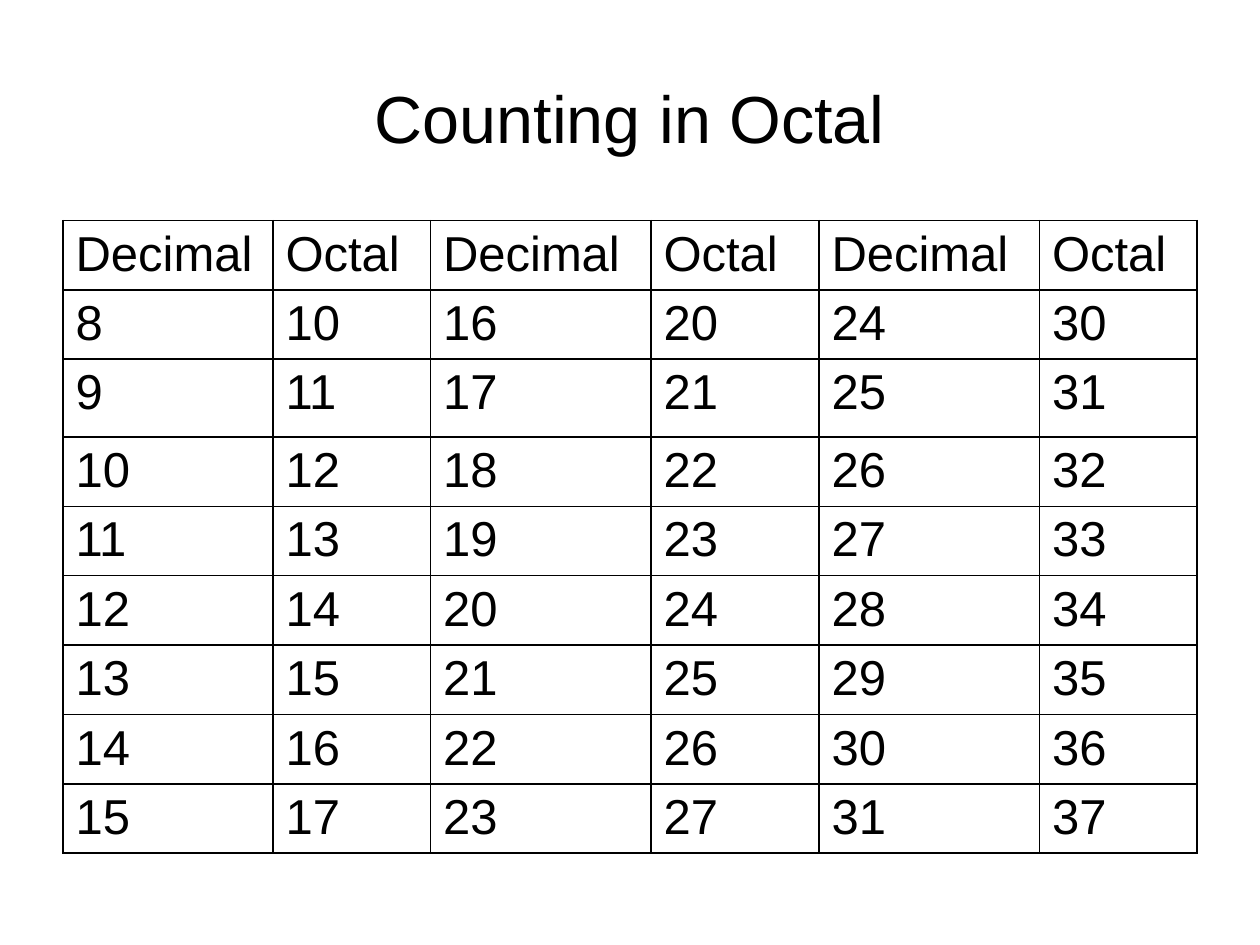
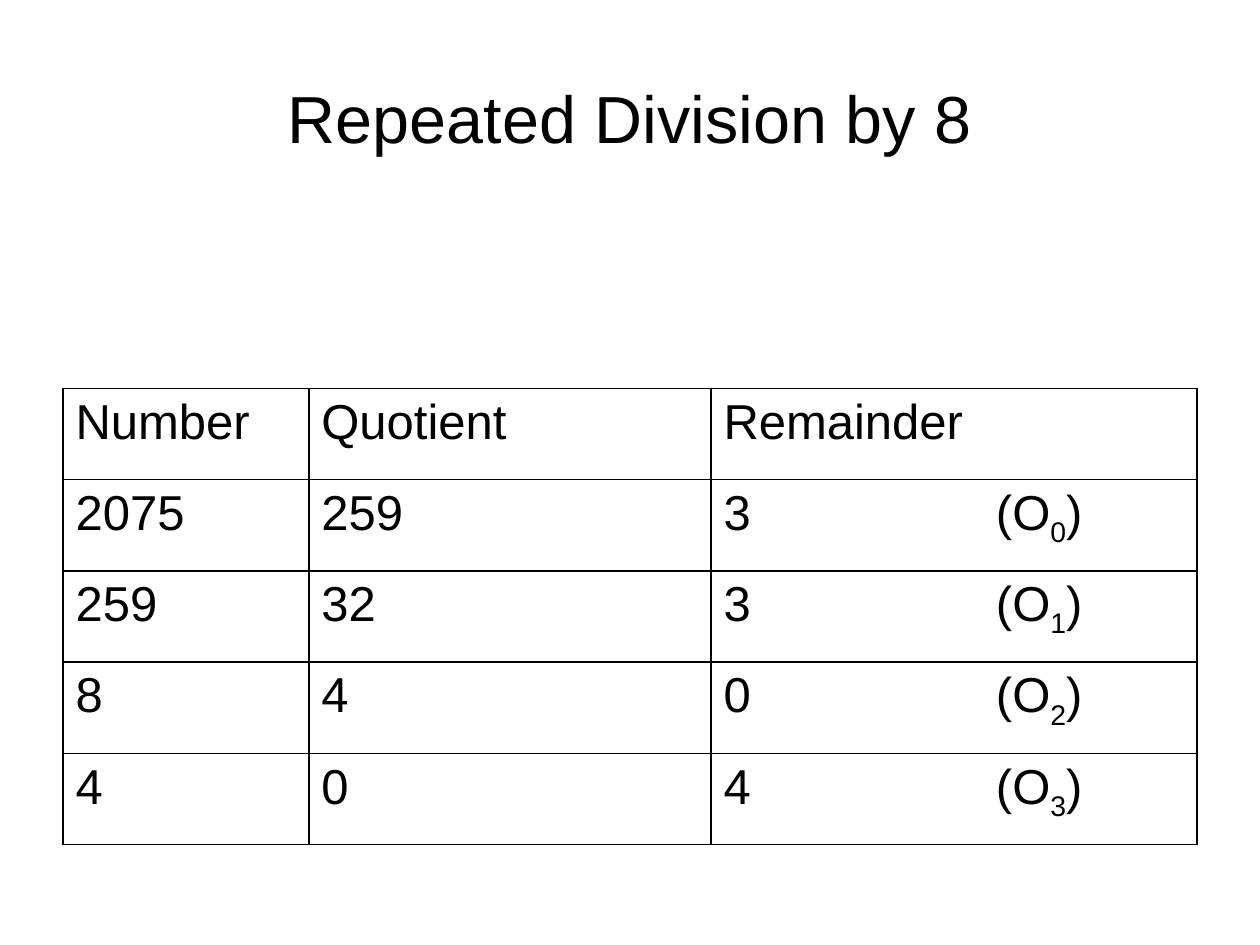
from lxml import etree
from pptx import Presentation
from pptx.dml.color import RGBColor
from pptx.enum.text import MSO_ANCHOR, MSO_AUTO_SIZE, PP_ALIGN
from pptx.oxml.ns import qn
from pptx.util import Pt

CENTER = PP_ALIGN.CENTER
JUSTIFY = PP_ALIGN.JUSTIFY
MIDDLE = MSO_ANCHOR.MIDDLE
NO_AUTOFIT = MSO_AUTO_SIZE.NONE
TITLE_ONLY = 5

COLORS = {"text": "000000", "border": "000000"}
TITLE_FONT = {"name": "Arial", "size": Pt(38), "bold": False}
CELL_FONT = {"name": "Arial", "size": Pt(28), "bold": False}
TITLE_PLACE = {"left": Pt(36), "top": Pt(21.6), "width": Pt(648), "height": Pt(90)}
TITLE_FRAME = {"vertical_anchor": MIDDLE, "auto_size": NO_AUTOFIT, "word_wrap": True}
PLAIN_TABLE = {"first_row": False, "horz_banding": False}
TABLE_LEFT = 36
HANGING_INDENT = 27
DIGIT_TAB = 155.7
BORDER_TAGS = ("a:lnL", "a:lnR", "a:lnT", "a:lnB")


def apply_format(target, values):
    for name, value in values.items():
        setattr(target, name, value)


def add_run(paragraph, text, font, subscript=False):
    run = paragraph.add_run()
    run.text = text
    apply_format(run.font, font)
    run.font.color.rgb = RGBColor.from_string(COLORS["text"])
    if subscript:
        run.font._element.set("baseline", "-25000")


def add_titled_slide(presentation, title):
    slide = presentation.slides.add_slide(presentation.slide_layouts[TITLE_ONLY])
    shape = slide.shapes.title
    apply_format(shape, TITLE_PLACE)
    apply_format(shape.text_frame, TITLE_FRAME)
    paragraph = shape.text_frame.paragraphs[0]
    paragraph.alignment = CENTER
    add_run(paragraph, title, TITLE_FONT)
    return slide


def draw_borders(cell):
    properties = cell._tc.get_or_add_tcPr()
    for tag in BORDER_TAGS:
        line = etree.SubElement(properties, qn(tag), w=str(Pt(1)))
        fill = etree.SubElement(line, qn("a:solidFill"))
        etree.SubElement(fill, qn("a:srgbClr"), val=COLORS["border"])
    cell.fill.background()


def set_indent(paragraph, indent):
    properties = paragraph._p.get_or_add_pPr()
    properties.set("marL", str(Pt(indent)))
    properties.set("indent", str(Pt(-indent)))


def add_tab_stop(paragraph, position):
    tabs = etree.SubElement(paragraph._p.get_or_add_pPr(), qn("a:tabLst"))
    etree.SubElement(tabs, qn("a:tab"), pos=str(Pt(position)), algn="l")


def add_grid(slide, top, widths, heights, rows, indent=None):
    frame = slide.shapes.add_table(
        len(rows), len(widths), Pt(TABLE_LEFT), Pt(top), Pt(sum(widths)), Pt(sum(heights))
    )
    table = frame.table
    apply_format(table, PLAIN_TABLE)
    for column, width in zip(table.columns, widths):
        column.width = Pt(width)
    for row, height, texts in zip(table.rows, heights, rows):
        row.height = Pt(height)
        for cell, text in zip(row.cells, texts):
            draw_borders(cell)
            paragraph = cell.text_frame.paragraphs[0]
            paragraph.alignment = JUSTIFY
            if indent:
                set_indent(paragraph, indent)
            add_run(paragraph, text, CELL_FONT)
    return table


def add_octal_digit(cell, position):
    paragraph = cell.text_frame.paragraphs[0]
    add_tab_stop(paragraph, DIGIT_TAB)
    add_run(paragraph, "\t(O", CELL_FONT)
    add_run(paragraph, str(position), CELL_FONT, subscript=True)
    add_run(paragraph, ")", CELL_FONT)


def build_counting_slide(presentation):
    slide = add_titled_slide(presentation, "Counting in Octal")
    rows = [["Decimal", "Octal"] * 3]
    for first in range(8, 16):
        numbers = (first, first + 8, first + 16)
        rows.append([text for number in numbers for text in (str(number), f"{number:o}")])
    widths = [120, 90, 126, 96, 126, 90]
    heights = [39.63] * 2 + [44.5] + [39.63] * 6
    add_grid(slide, 126, widths, heights, rows, HANGING_INDENT)


def build_division_slide(presentation):
    slide = add_titled_slide(presentation, "Repeated Division by 8")
    rows = [
        ["Number", "Quotient", "Remainder"],
        ["2075", "259", "3"],
        ["259", "32", "3"],
        ["8", "4", "0"],
        ["4", "0", "4"],
    ]
    table = add_grid(slide, 222, [140.5, 229.75, 277.75], [52.15] * len(rows), rows)
    for position in range(len(rows) - 1):
        add_octal_digit(table.cell(position + 1, 2), position)


def main():
    presentation = Presentation()
    presentation.slide_width = Pt(720)
    presentation.slide_height = Pt(540)
    build_counting_slide(presentation)
    build_division_slide(presentation)
    presentation.save("out.pptx")


if __name__ == "__main__":
    main()
